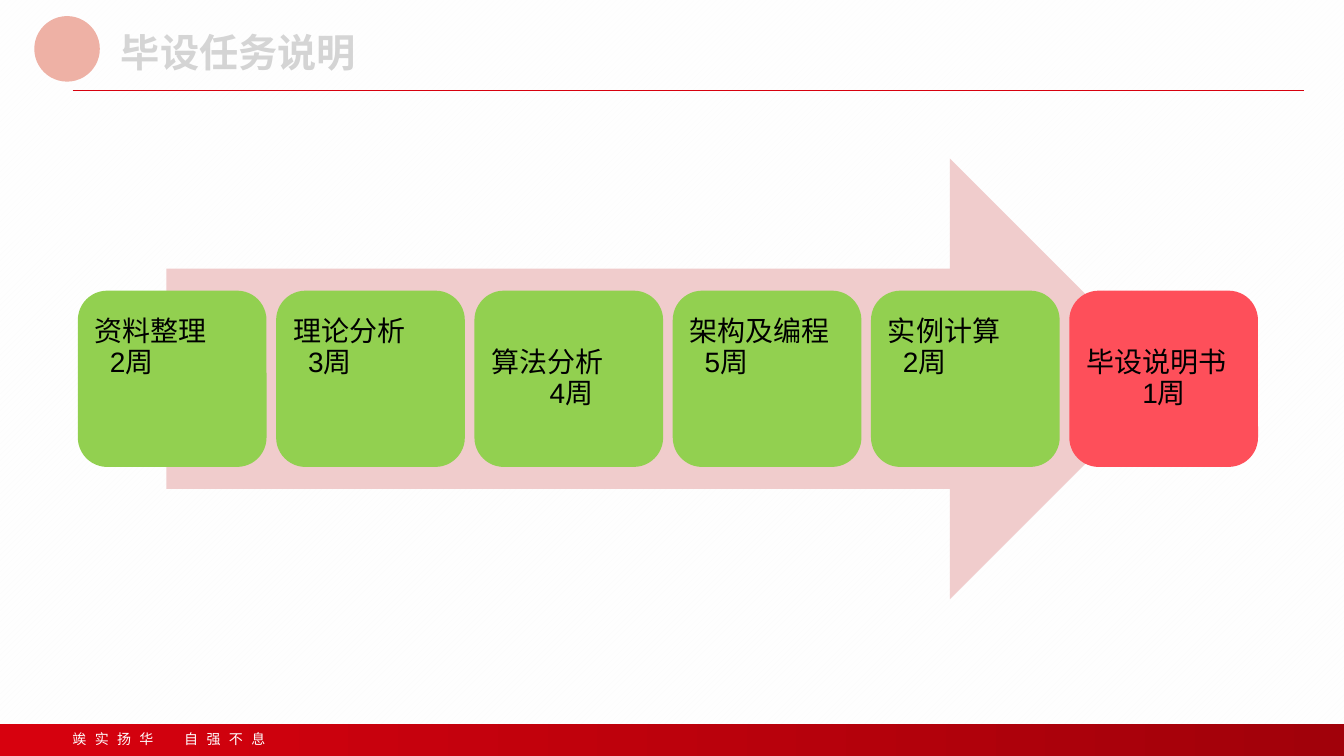
import pptx
import pptx.util
import pptx.dml.color
import pptx.enum.dml
import pptx.enum.shapes
import pptx.enum.text
import pptx.oxml.ns
from lxml import etree

Pt = pptx.util.Pt
SHAPE = pptx.enum.shapes.MSO_SHAPE
ANCHOR = pptx.enum.text.MSO_ANCHOR
ALIGN = pptx.enum.text.PP_ALIGN
qn = pptx.oxml.ns.qn

GREEN, RED, PINK = "92D050", "FE4F5A", "F0CCCC"
BRAND_RED, DARK_RED = "D7010E", "A1010A"
STAGES = [
    ("资料整理", "2周", GREEN, 10.7, 50),
    ("理论分析", "3周", GREEN, 10.7, 50),
    ("算法分析", "4周", GREEN, 41.5, 6),
    ("架构及编程", "5周", GREEN, 10.7, 50),
    ("实例计算", "2周", GREEN, 10.7, 50),
    ("毕设说明书", "1周", RED, 40, 6),
]


def color(value):
    return pptx.dml.color.RGBColor.from_string(value)


def apply(target, formats):
    for key, value in formats.items():
        setattr(target, key, value)


def add_block(slide, kind, box, fill=None):
    block = slide.shapes.add_shape(kind, *(Pt(length) for length in box))
    block.shadow.inherit = False
    block.line.fill.background()
    if fill:
        block.fill.solid()
        block.fill.fore_color.rgb = color(fill)
    return block


def fill_gradient(block, hexes, angle, opacities=()):
    block.fill.gradient()
    block.fill.gradient_angle = angle
    for stop, value in zip(block.fill.gradient_stops, hexes):
        stop.color.rgb = color(value)
    for rgb, opacity in zip(block._element.spPr.iter(qn("a:srgbClr")), opacities):
        etree.SubElement(rgb, qn("a:alpha"), val=str(opacity * 1000))


def write(paragraph, text, size, fill, font="Arial", bold=False):
    run = paragraph.add_run()
    run.text = text
    apply(run.font, {"size": Pt(size), "name": font, "bold": bold})
    run.font.color.rgb = color(fill)
    return run


def add_backdrop(slide, box):
    pattern = slide.background.fill
    pattern.patterned()
    pattern.pattern = pptx.enum.dml.MSO_PATTERN.WIDE_UPWARD_DIAGONAL
    pattern.fore_color.rgb = color("F2F2F2")
    pattern.back_color.rgb = color("FFFFFF")
    veil = add_block(slide, SHAPE.RECTANGLE, box)
    fill_gradient(veil, ("FFFFFF", "FFFFFF"), 270, (85, 70))


def add_footer(slide, box):
    left, top, width, height = box
    band = add_block(slide, SHAPE.RECTANGLE, box)
    fill_gradient(band, (BRAND_RED, DARK_RED), 0)
    motto = slide.shapes.add_textbox(Pt(left + 44.64), Pt(top + 0.7), Pt(162), Pt(19.4))
    motto.text_frame.word_wrap = False
    run = write(motto.text_frame.paragraphs[0], "竢实扬华　自强不息", 10, "FFFFFF", "Noto Sans CJK SC")
    properties = run.font._element
    properties.set("spc", "600")
    etree.SubElement(properties, qn("a:ea"), typeface="Noto Sans CJK SC")


def add_header(slide, box):
    left, top, width, height = box
    add_block(slide, SHAPE.OVAL, (left, top, 46.8, 46.8), "EEB1A5")
    rule = slide.shapes.add_connector(
        pptx.enum.shapes.MSO_CONNECTOR.STRAIGHT,
        Pt(left + 27.3), Pt(top + height), Pt(left + width), Pt(top + height))
    rule.line.color.rgb = color(BRAND_RED)
    rule.line.width = Pt(0.5)
    etree.SubElement(rule._element.spPr, qn("a:effectLst"))
    title = slide.shapes.title
    apply(title, {"left": Pt(left + 54.7), "top": Pt(top + 8.6), "width": Pt(855.4), "height": Pt(64)})
    apply(title.text_frame, {"vertical_anchor": ANCHOR.TOP, "word_wrap": True})
    heading = title.text_frame.paragraphs[0]
    apply(heading, {"alignment": ALIGN.LEFT, "line_spacing": 0.9})
    write(heading, "毕设任务说明", 28, "000000", bold=True)


def add_stage(slide, box, stage):
    task, weeks, fill, indent, bottom = stage
    card = add_block(slide, SHAPE.ROUNDED_RECTANGLE, box, fill)
    apply(card.text_frame, {
        "margin_left": Pt(6), "margin_right": Pt(6),
        "margin_top": Pt(6), "margin_bottom": Pt(bottom),
        "vertical_anchor": ANCHOR.MIDDLE, "word_wrap": True})
    duration = card.text_frame.add_paragraph()
    duration._p.get_or_add_pPr().set("marL", str(Pt(indent)))
    for paragraph, text in zip(card.text_frame.paragraphs, (task, weeks)):
        apply(paragraph, {"alignment": ALIGN.LEFT, "line_spacing": 0.9})
        write(paragraph, text, 20, "000000")


def add_timeline(slide, box):
    left, top, width, height = box
    add_block(slide, SHAPE.RIGHT_ARROW, (left + 63.2, top, 717.1, height), PINK)
    card_width, card_height = 134.8, height * 0.4
    pitch = (width - card_width) / (len(STAGES) - 1)
    for index, stage in enumerate(STAGES):
        card = (left + index * pitch, top + height * 0.3, card_width, card_height)
        add_stage(slide, card, stage)


def main():
    deck = pptx.Presentation()
    apply(deck, {"slide_width": Pt(960), "slide_height": Pt(540)})
    slide = deck.slides.add_slide(deck.slide_layouts[5])
    add_backdrop(slide, (0, 0, 960, 540))
    add_footer(slide, (0, 517.5, 960, 22.5))
    add_header(slide, (24.5, 11.5, 907.2, 52.8))
    add_timeline(slide, (55.6, 113.2, 843, 314.8))
    deck.save("out.pptx")


if __name__ == "__main__":
    main()
